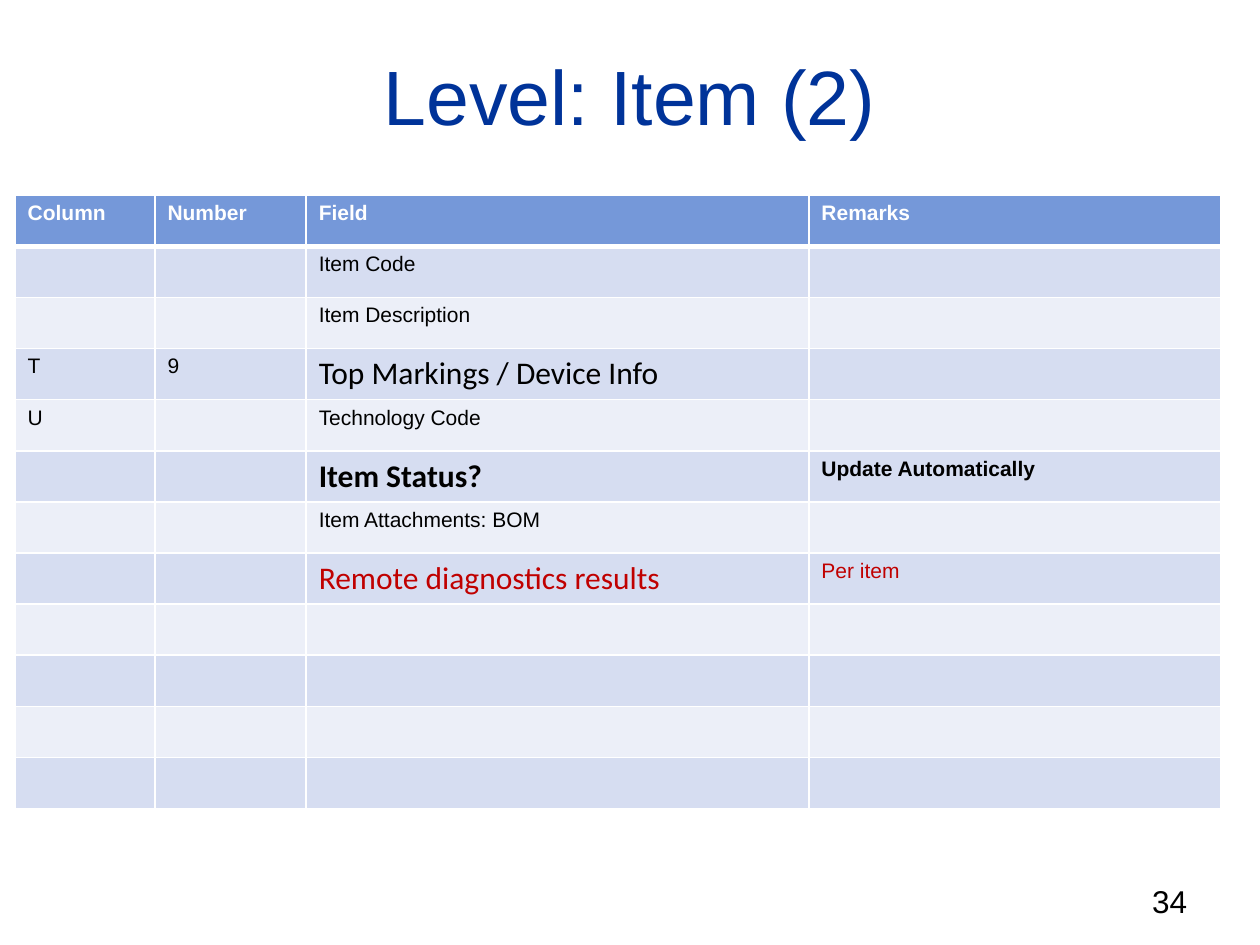
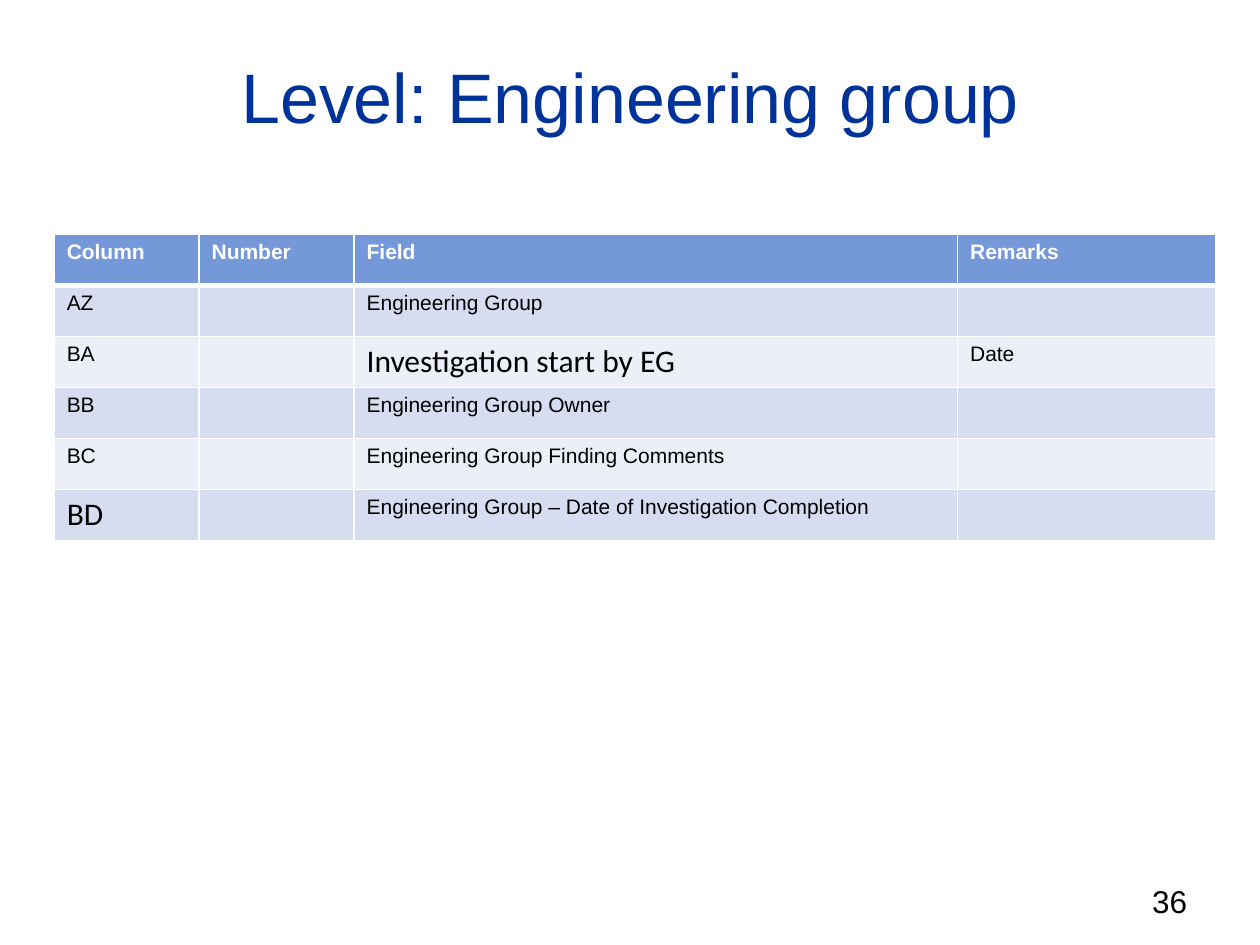
from dataclasses import dataclass

from lxml import etree
from pptx import Presentation
from pptx import util as u
from pptx.dml.color import RGBColor
from pptx.enum import text
from pptx.oxml import ns


@dataclass(frozen=True)
class Theme:
    font: str = "Arial"
    accent_font: str = "Calibri"
    title: str = "003399"
    ink: str = "000000"
    alert: str = "C00000"
    white: str = "FFFFFF"
    header: str = "7598D9"
    bands: tuple = ("D6DDF1", "ECEFF8")
    body_size: int = 12
    large_size: int = 18
    thin: int = 1
    thick: int = 3


THEME = Theme()
HEADINGS = ["Column", "Number", "Field", "Remarks"]


@dataclass(frozen=True)
class Entry:
    label: str = ""
    large: bool = False
    bold: bool = False
    color: str = THEME.ink


ITEM_ROWS = [
    ["", "", "Item Code", ""],
    ["", "", "Item Description", ""],
    ["T", "9", Entry("Top Markings / Device Info", large=True), ""],
    ["U", "", "Technology Code", ""],
    ["", "", Entry("Item Status?", large=True, bold=True),
     Entry("Update Automatically", bold=True)],
    ["", "", "Item Attachments: BOM", ""],
    ["", "", Entry("Remote diagnostics results", large=True, color=THEME.alert),
     Entry("Per item", color=THEME.alert)],
] + [[""] * len(HEADINGS)] * 4

ENGINEERING_ROWS = [
    ["AZ", "", "Engineering Group", ""],
    ["BA", "", Entry("Investigation start by EG", large=True), "Date"],
    ["BB", "", "Engineering Group Owner", ""],
    ["BC", "", "Engineering Group Finding Comments", ""],
    [Entry("BD", large=True), "", "Engineering Group – Date of Investigation Completion", ""],
]


def style_font(font, size, color, name=THEME.font, bold=False):
    font.name = name
    font.size = u.Pt(size)
    font.bold = bold
    font.color.rgb = RGBColor.from_string(color)


def set_title(slide, title, size):
    shape = slide.shapes.title
    shape.left, shape.top = u.Inches(0.5), u.Inches(0.28)
    shape.width, shape.height = u.Inches(9), u.Inches(0.95)
    frame = shape.text_frame
    frame.text = title
    frame.auto_size = text.MSO_AUTO_SIZE.NONE
    frame.vertical_anchor = text.MSO_ANCHOR.MIDDLE
    paragraph = frame.paragraphs[0]
    paragraph.alignment = text.PP_ALIGN.CENTER
    style_font(paragraph.runs[0].font, size, THEME.title)


def add_page_number(slide, number):
    shape = slide.shapes.add_textbox(
        u.Inches(7.19), u.Inches(6.95), u.Inches(2.33), u.Inches(0.4))
    frame = shape.text_frame
    frame.word_wrap = True
    frame.text = str(number)
    paragraph = frame.paragraphs[0]
    paragraph.alignment = text.PP_ALIGN.RIGHT
    style_font(paragraph.runs[0].font, THEME.large_size, THEME.ink)


def add_borders(cell, top, bottom):
    properties = cell._tc.get_or_add_tcPr()
    widths = {"lnL": THEME.thin, "lnR": THEME.thin, "lnT": top, "lnB": bottom}
    for side, width in widths.items():
        line = etree.SubElement(properties, ns.qn(f"a:{side}"), w=str(u.Pt(width)))
        fill = etree.SubElement(line, ns.qn("a:solidFill"))
        etree.SubElement(fill, ns.qn("a:srgbClr"), val=THEME.white)


def fill_cell(cell, entry, row_index):
    add_borders(cell,
                THEME.thick if row_index == 1 else THEME.thin,
                THEME.thick if row_index == 0 else THEME.thin)
    cell.fill.solid()
    color = THEME.bands[(row_index - 1) % 2] if row_index else THEME.header
    cell.fill.fore_color.rgb = RGBColor.from_string(color)
    if entry.label:
        cell.text = entry.label
        style_font(cell.text_frame.paragraphs[0].runs[0].font,
                   THEME.large_size if entry.large else THEME.body_size,
                   entry.color,
                   THEME.accent_font if entry.large else THEME.font,
                   entry.bold)


def add_field_table(slide, left, top, height, column_widths, rows):
    header = [Entry(heading, bold=True, color=THEME.white) for heading in HEADINGS]
    all_rows = [header] + rows
    table = slide.shapes.add_table(
        len(all_rows), len(HEADINGS), u.Inches(left), u.Inches(top),
        u.Inches(sum(column_widths)), u.Inches(height)).table
    for column, width in zip(table.columns, column_widths):
        column.width = u.Inches(width)
    for row_index, row in enumerate(all_rows):
        for column_index, value in enumerate(row):
            entry = value if isinstance(value, Entry) else Entry(value)
            fill_cell(table.cell(row_index, column_index), entry, row_index)


def add_level_slide(presentation, title, title_size, number):
    slide = presentation.slides.add_slide(presentation.slide_layouts[5])
    set_title(slide, title, title_size)
    add_page_number(slide, number)
    return slide


def main():
    presentation = Presentation()
    presentation.slide_width, presentation.slide_height = u.Inches(10), u.Inches(7.5)

    slide = add_level_slide(presentation, "Level: Item (2)", 44, 34)
    add_field_table(slide, 0.12, 1.55, 4.87, [1.11, 1.2, 3.99, 3.27], ITEM_ROWS)

    slide = add_level_slide(presentation, "Level: Engineering group", 40, 36)
    add_field_table(slide, 0.43, 1.86, 2.43, [1.15, 1.23, 4.79, 2.05], ENGINEERING_ROWS)

    presentation.save("out.pptx")


if __name__ == "__main__":
    main()
